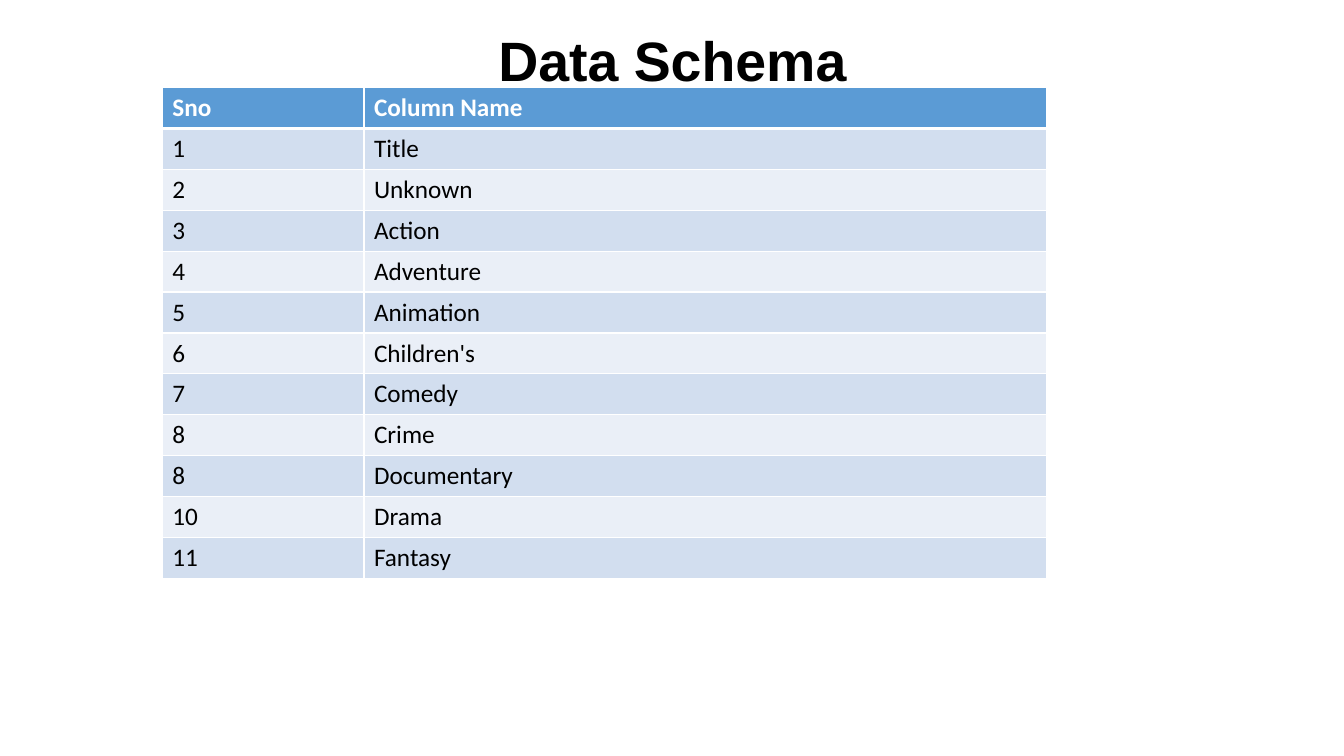
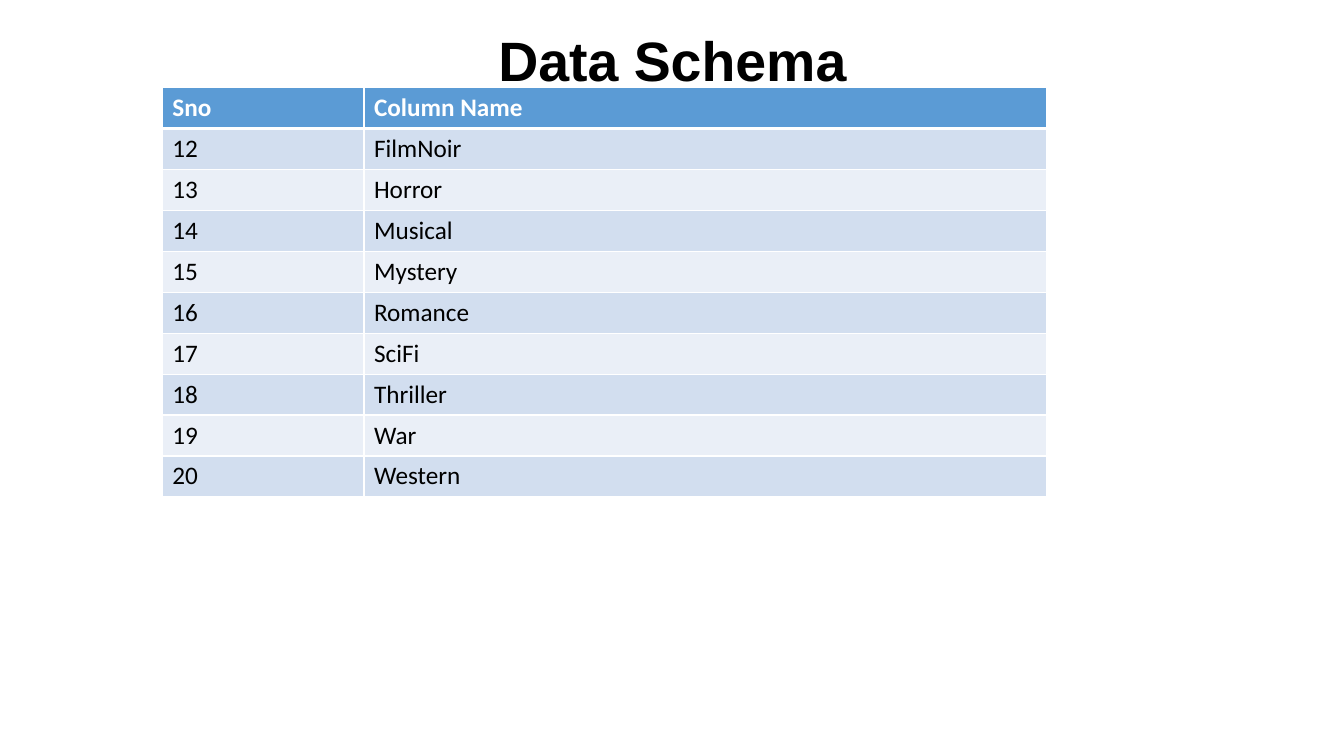
from lxml.etree import SubElement
from pptx import Presentation
from pptx.dml.color import RGBColor
from pptx.enum.text import MSO_ANCHOR, PP_ALIGN
from pptx.oxml.ns import qn
from pptx.util import Inches, Pt

BLACK = RGBColor(0x00, 0x00, 0x00)
WHITE = RGBColor(0xFF, 0xFF, 0xFF)
HEADER_BLUE = RGBColor(0x5B, 0x9B, 0xD5)
BAND_COLORS = (RGBColor(0xD2, 0xDE, 0xEF), RGBColor(0xEA, 0xEF, 0xF7))

TITLE_FONT = {"name": "Arial", "size": Pt(39.6), "bold": True}
HEADER_FONT = {"name": "Calibri", "size": Pt(18), "bold": True}
BODY_FONT = {**HEADER_FONT, "bold": False}

TITLE = "Data Schema"
HEADINGS = ("Sno", "Column Name")
COLUMN_WIDTHS = (Inches(2), Inches(6.77))
THIN_BORDER = Pt(1)
THICK_BORDER = Pt(3)

SCHEMA_PAGES = (
    (
        Inches(4.87),
        (
            ("1", "Title"),
            ("2", "Unknown"),
            ("3", "Action"),
            ("4", "Adventure"),
            ("5", "Animation"),
            ("6", "Children's"),
            ("7", "Comedy"),
            ("8", "Crime"),
            ("8", "Documentary"),
            ("10", "Drama"),
            ("11", "Fantasy"),
        ),
    ),
    (
        Inches(4.06),
        (
            ("12", "FilmNoir"),
            ("13", "Horror"),
            ("14", "Musical"),
            ("15", "Mystery"),
            ("16", "Romance"),
            ("17", "SciFi"),
            ("18", "Thriller"),
            ("19", "War"),
            ("20", "Western"),
        ),
    ),
)


class SchemaDeck:
    def __init__(self):
        self.presentation = Presentation()
        self.presentation.slide_width = Inches(13.33)
        self.presentation.slide_height = Inches(7.5)
        self.slide = None

    def add_slide(self):
        blank_layout = self.presentation.slide_layouts[6]
        self.slide = self.presentation.slides.add_slide(blank_layout)

    def add_text(self, paragraph, text, font_values, color):
        run = paragraph.add_run()
        run.text = text
        for attribute, value in font_values.items():
            setattr(run.font, attribute, value)
        run.font.color.rgb = color

    def add_title(self, text):
        shape = self.slide.shapes.add_textbox(
            Inches(0.92), Inches(0.4), Inches(11.5), Inches(0.47)
        )
        frame = shape.text_frame
        frame.word_wrap = True
        frame.vertical_anchor = MSO_ANCHOR.MIDDLE
        paragraph = frame.paragraphs[0]
        paragraph.alignment = PP_ALIGN.CENTER
        paragraph.line_spacing = 0.9
        self.add_text(paragraph, text, TITLE_FONT, BLACK)

    def set_borders(self, cell, top, bottom):
        properties = cell._tc.get_or_add_tcPr()
        widths = {"L": THIN_BORDER, "R": THIN_BORDER, "T": top, "B": bottom}
        for side, width in widths.items():
            line = SubElement(properties, qn(f"a:ln{side}"), w=str(width))
            fill = SubElement(line, qn("a:solidFill"))
            SubElement(fill, qn("a:srgbClr"), val=str(WHITE))

    def fill_cell(self, cell, text, row_number):
        is_header = row_number == 0
        self.set_borders(
            cell,
            top=THICK_BORDER if row_number == 1 else THIN_BORDER,
            bottom=THICK_BORDER if is_header else THIN_BORDER,
        )
        cell.fill.solid()
        cell.fill.fore_color.rgb = (
            HEADER_BLUE if is_header else BAND_COLORS[(row_number - 1) % 2]
        )
        self.add_text(
            cell.text_frame.paragraphs[0],
            text,
            HEADER_FONT if is_header else BODY_FONT,
            WHITE if is_header else BLACK,
        )

    def add_table(self, records, height):
        rows = (HEADINGS, *records)
        table = self.slide.shapes.add_table(
            len(rows), len(HEADINGS),
            Inches(1.61), Inches(0.87), sum(COLUMN_WIDTHS), height,
        ).table
        for column, width in zip(table.columns, COLUMN_WIDTHS):
            column.width = width
        for row_number, row in enumerate(rows):
            for column_number, text in enumerate(row):
                cell = table.cell(row_number, column_number)
                self.fill_cell(cell, text, row_number)


def main():
    deck = SchemaDeck()
    for table_height, records in SCHEMA_PAGES:
        deck.add_slide()
        deck.add_title(TITLE)
        deck.add_table(records, table_height)
    deck.presentation.save("out.pptx")


if __name__ == "__main__":
    main()
